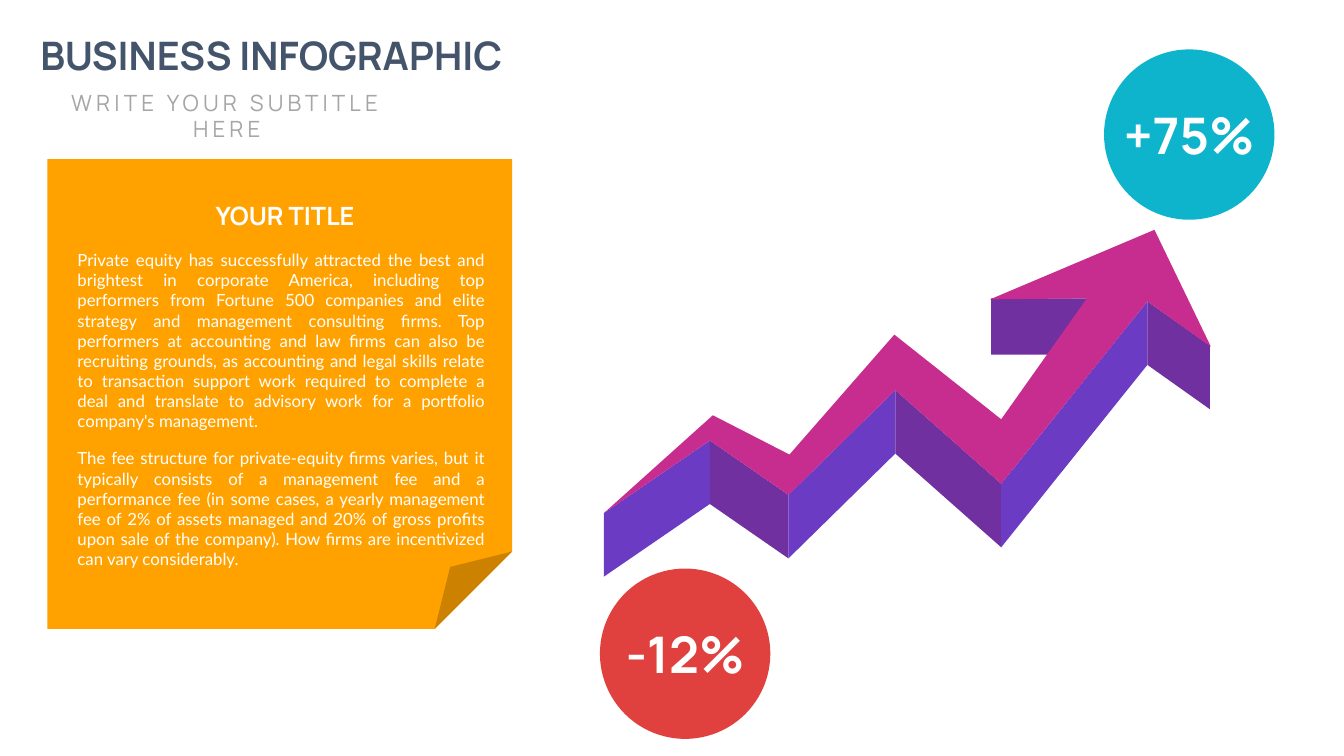
from itertools import cycle, pairwise

from lxml.etree import SubElement
from pptx import Presentation
from pptx.dml.color import RGBColor
from pptx.enum.shapes import MSO_SHAPE
from pptx.enum.text import MSO_ANCHOR, MSO_AUTO_SIZE, PP_ALIGN
from pptx.oxml.ns import qn
from pptx.util import Inches, Pt

COLORS = {
    "white": "FFFFFF",
    "slate": "44546A",
    "gray": "A6A6A6",
    "orange": "FFA200",
    "violet": "6B3BC4",
    "purple": "7030A0",
    "magenta": "C62D8E",
    "teal": "00B0C9",
    "red": "E03734",
}

BODY = [
    "Private equity has successfully attracted the best and brightest in corporate America, "
    "including top performers from Fortune 500 companies and elite strategy and management "
    "consulting firms. Top performers at accounting and law firms can also be recruiting "
    "grounds, as accounting and legal skills relate to transaction support work required to "
    "complete a deal and translate to advisory work for a portfolio company's management.",
    "The fee structure for private-equity firms varies, but it typically consists of a "
    "management fee and a performance fee (in some cases, a yearly management fee of 2% of "
    "assets managed and 20% of gross profits upon sale of the company). How firms are "
    "incentivized can vary considerably.",
]

FRONT_EDGE = [(5.99, 5.09), (7.04, 4.37), (7.82, 4.91), (8.88, 3.87),
              (9.93, 4.8), (11.38, 2.99), (12, 3.43)]
BACK_EDGE = [(12.01, 3.44), (11.45, 2.28), (9.82, 2.97), (10.78, 2.96),
             (9.93, 4.16), (8.87, 3.32), (7.83, 4.51), (7.07, 4.12)]
WALL_DEPTH = 0.63


class Deck:
    def __init__(self):
        self.prs = Presentation()
        self.prs.slide_width = Inches(13.33)
        self.prs.slide_height = Inches(7.5)
        self.s = self.prs.slides.add_slide(self.prs.slide_layouts[0])

    def paint(self, sp, color, alpha=None):
        sp.shadow.inherit = False
        sp.fill.solid()
        sp.fill.fore_color.rgb = RGBColor.from_string(COLORS[color])
        sp.line.fill.background()
        if alpha:
            clr = sp.fill._xPr.find(qn("a:solidFill"))[0]
            SubElement(clr, qn("a:alpha"), val=str(alpha * 1000))

    def shape(self, kind, box, color, alpha=None, parent=None):
        shapes = (parent or self.s).shapes
        sp = shapes.add_shape(kind, *map(Inches, box))
        self.paint(sp, color, alpha)

    def polygon(self, points, color, parent):
        pts = [(Inches(x), Inches(y)) for x, y in points]
        fb = parent.shapes.build_freeform(*pts[0])
        fb.add_line_segments(pts[1:], close=True)
        self.paint(fb.convert_to_shape(), color)

    def set_text(self, sp, box, paragraphs, size, color="white", bold=False, font="Manrope",
                 align=PP_ALIGN.CENTER, anchor=MSO_ANCHOR.TOP, wrap=False, gap=0, spacing=0):
        sp.left, sp.top, sp.width, sp.height = map(Inches, box)
        tf = sp.text_frame
        tf.auto_size = MSO_AUTO_SIZE.NONE
        tf.word_wrap = wrap
        tf.vertical_anchor = anchor
        for i, text in enumerate(paragraphs):
            p = tf.add_paragraph() if i else tf.paragraphs[0]
            p.alignment = align
            p.space_before = Pt(gap if i else 0)
            r = p.add_run()
            r.text = text
            r.font.name = font
            r.font.size = Pt(size)
            r.font.bold = bold
            r.font.color.rgb = RGBColor.from_string(COLORS[color])
            if spacing:
                r.font._element.set("spc", str(spacing * 100))

    def text(self, box, paragraphs, size, **style):
        sp = self.s.shapes.add_textbox(*map(Inches, box))
        self.set_text(sp, box, paragraphs, size, **style)

    def badge(self, left, top, label, color):
        d = 1.69
        self.shape(MSO_SHAPE.OVAL, (left, top, d, d), color, alpha=95)
        self.text((left, top + 0.49, d, 0.71), [label], 36, bold=True,
                  anchor=MSO_ANCHOR.MIDDLE)

    def arrow(self):
        grp = self.s.shapes.add_group_shape()
        self.shape(MSO_SHAPE.RECTANGLE, (9.83, 2.96, 0.97, 0.56), "purple", parent=grp)
        walls = zip(pairwise(FRONT_EDGE), cycle(["violet", "purple"]))
        for ((x1, y1), (x2, y2)), color in walls:
            wall = [(x1, y1), (x2, y2), (x2, y2 + WALL_DEPTH), (x1, y1 + WALL_DEPTH)]
            self.polygon(wall, color, grp)
        self.polygon(FRONT_EDGE[:-1] + BACK_EDGE, "magenta", grp)


def main():
    deck = Deck()
    title, subtitle = deck.s.placeholders
    deck.set_text(title, (0.24, 0.26, 4.9, 0.57), ["BUSINESS INFOGRAPHIC"], 28,
                  color="slate", bold=True)
    deck.set_text(subtitle, (0.24, 0.83, 4.02, 0.37), ["WRITE YOUR SUBTITLE HERE"], 16,
                  color="gray", wrap=True, spacing=3)
    deck.shape(MSO_SHAPE.FOLDED_CORNER, (0.47, 1.58, 4.61, 4.66), "orange")
    deck.arrow()
    deck.text((2.04, 1.94, 1.6, 0.4), ["YOUR TITLE"], 18, bold=True,
              align=PP_ALIGN.LEFT, anchor=MSO_ANCHOR.MIDDLE)
    deck.text((0.67, 2.43, 4.24, 3.3), BODY, 12, font="Lato",
              align=PP_ALIGN.JUSTIFY, wrap=True, gap=12)
    deck.badge(10.95, 0.49, "+75%", "teal")
    deck.badge(5.95, 5.64, "-12%", "red")
    deck.prs.save("out.pptx")


if __name__ == "__main__":
    main()
